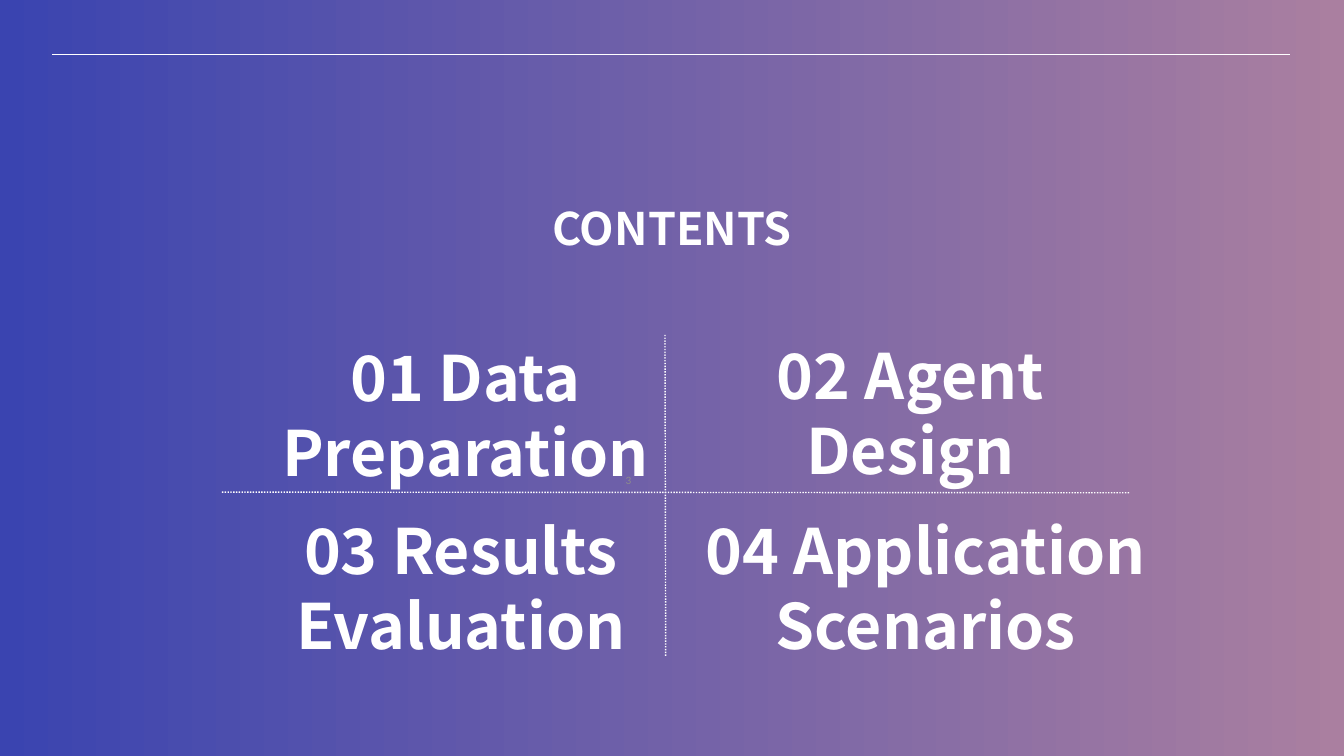
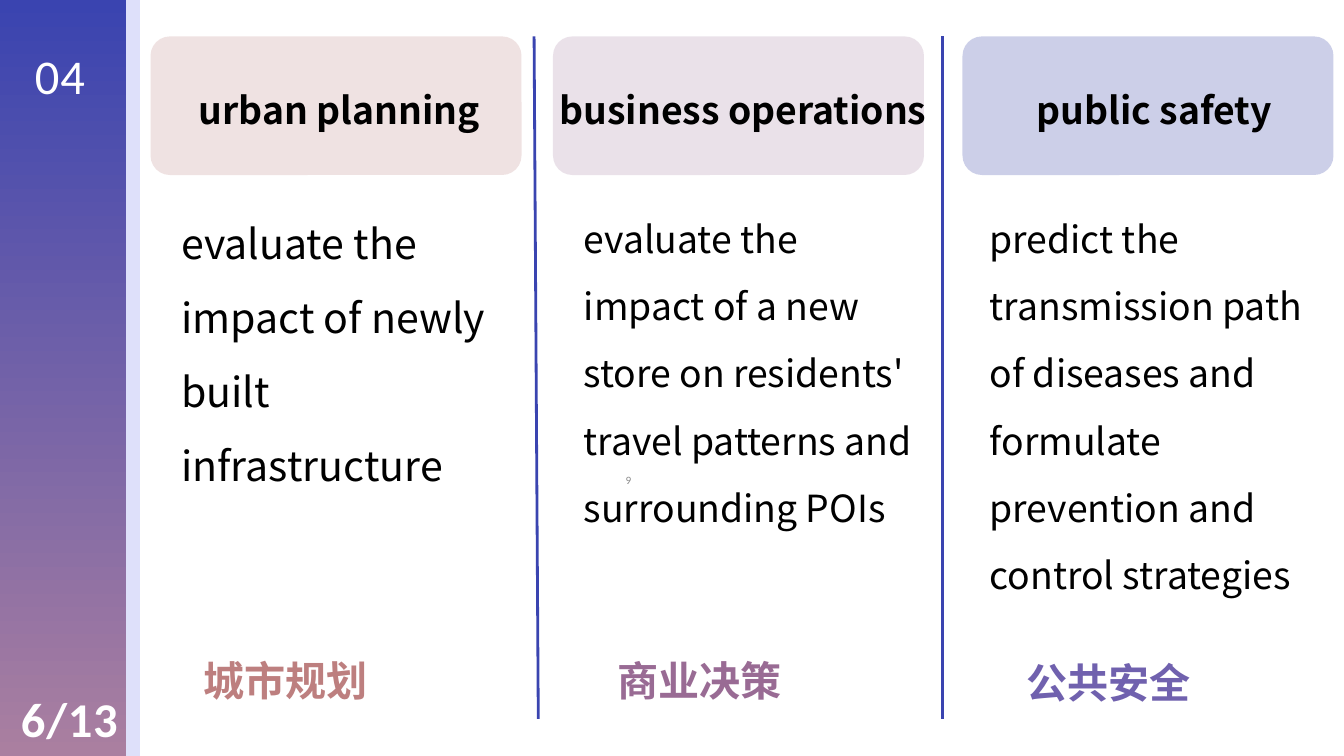
"""Build the contents slide and the application scenarios slide."""
from typing import NamedTuple

from lxml import etree
from pptx import Presentation
from pptx.dml.color import RGBColor
from pptx.enum.dml import MSO_LINE
from pptx.enum.shapes import MSO_CONNECTOR, MSO_SHAPE
from pptx.enum.text import MSO_ANCHOR, MSO_AUTO_SIZE, PP_ALIGN
from pptx.oxml.ns import qn
from pptx.util import Pt

PX = 9525
WIDTH, HEIGHT = 1920, 1080
TITLE_ONLY, BLANK = 5, 6

WHITE = RGBColor(0xFF, 0xFF, 0xFF)
BLACK = RGBColor(0x00, 0x00, 0x00)
GREY = RGBColor(0x8C, 0x8C, 0x8C)
INDIGO = RGBColor(0x3A, 0x44, 0xB0)
MAUVE = RGBColor(0xAA, 0x7F, 0xA0)
LAVENDER = RGBColor(0xDE, 0xE0, 0xFA)
ROSE_TINT = RGBColor(0xE1, 0xC6, 0xC6)
PLUM_TINT = RGBColor(0xD7, 0xC5, 0xD5)
BLUE_TINT = RGBColor(0x9B, 0xA1, 0xD2)
ROSE = RGBColor(0xBD, 0x7F, 0x7F)
PLUM = RGBColor(0x99, 0x6B, 0x94)
VIOLET = RGBColor(0x70, 0x61, 0xAE)

SANS = "Noto Sans CJK SC"
CALIBRI = "Calibri"
LEFT, CENTER, RIGHT = PP_ALIGN.LEFT, PP_ALIGN.CENTER, PP_ALIGN.RIGHT
TOP, MIDDLE = MSO_ANCHOR.TOP, MSO_ANCHOR.MIDDLE
NO_AUTOFIT = MSO_AUTO_SIZE.NONE
RECTANGLE, ROUNDED = MSO_SHAPE.RECTANGLE, MSO_SHAPE.ROUNDED_RECTANGLE
STRAIGHT = MSO_CONNECTOR.STRAIGHT
DOTTED = MSO_LINE.ROUND_DOT


class Box(NamedTuple):
    left: int
    top: int
    width: int
    height: int

    def emu(self) -> list[int]:
        return [length * PX for length in self]


class Chapter(NamedTuple):
    heading: str
    box: Box


class Scenario(NamedTuple):
    heading: str
    heading_box: Box
    card_left: int
    tint: RGBColor
    detail: str
    detail_box: Box
    detail_size: int
    chinese: str
    chinese_box: Box
    accent: RGBColor


CHAPTERS = [
    Chapter("01 Data Preparation", Box(337, 484, 656, 217)),
    Chapter("02 Agent Design", Box(992, 481, 617, 217)),
    Chapter("03 Results Evaluation", Box(334, 732, 648, 217)),
    Chapter("04 Application Scenarios", Box(998, 731, 648, 217)),
]

SCENARIOS = [
    Scenario("urban planning", Box(188, 100, 594, 93), 215, ROSE_TINT,
             "evaluate the impact of newly built infrastructure",
             Box(249, 272, 457, 688), 44,
             "城市规划", Box(280, 932, 403, 81), ROSE),
    Scenario("business operations", Box(712, 100, 699, 93), 790, PLUM_TINT,
             "evaluate the impact of a new store on residents' travel patterns "
             "and surrounding POIs",
             Box(824, 272, 496, 633), 40,
             "商业决策", Box(872, 932, 403, 81), PLUM),
    Scenario("public safety", Box(1352, 100, 594, 93), 1375, BLUE_TINT,
             "predict the transmission path of diseases and formulate "
             "prevention and control strategies",
             Box(1404, 272, 496, 633), 40,
             "公共安全", Box(1456, 934, 403, 81), VIOLET),
]


def put_text(slide, text: str, box: Box, *, size: int, color=BLACK, font=SANS,
             bold=False, align=LEFT, anchor=TOP, spacing=None, tracking=0,
             inset=True, holder=None) -> None:
    if holder is None:
        holder = slide.shapes.add_textbox(*box.emu())
    else:
        holder.left, holder.top, holder.width, holder.height = box.emu()
    frame = holder.text_frame
    frame.word_wrap = True
    frame.auto_size = NO_AUTOFIT
    frame.vertical_anchor = anchor
    frame.margin_left = frame.margin_right = 10 * PX if inset else 0
    frame.margin_top = frame.margin_bottom = 5 * PX if inset else 0
    paragraph = frame.paragraphs[0]
    paragraph.alignment = align
    if spacing is not None:
        paragraph.line_spacing = spacing
    run = paragraph.add_run()
    run.text = text
    run.font.size = Pt(size)
    run.font.bold = bold
    run.font.color.rgb = color
    run.font.name = font
    properties = run._r.get_or_add_rPr()
    etree.SubElement(properties, qn("a:ea"), typeface=font)
    if tracking:
        properties.set("spc", str(tracking))


def put_line(slide, start: tuple[int, int], end: tuple[int, int], *,
             color: RGBColor, weight: float, dash=None) -> None:
    rule = slide.shapes.add_connector(
        STRAIGHT, *(length * PX for length in start + end))
    rule.line.color.rgb = color
    rule.line.width = Pt(weight)
    if dash is not None:
        rule.line.dash_style = dash
    etree.SubElement(rule._element.spPr, qn("a:effectLst"))


def put_panel(slide, box: Box, color=None, kind=RECTANGLE):
    panel = slide.shapes.add_shape(kind, *box.emu())
    panel.shadow.inherit = False
    panel.line.fill.background()
    if color is not None:
        panel.fill.solid()
        panel.fill.fore_color.rgb = color
    return panel


def put_card(slide, box: Box, tint: RGBColor) -> None:
    card = put_panel(slide, box, tint, ROUNDED)
    card.adjustments[0] = 0.14
    shade = card._element.spPr.find(f"{qn('a:solidFill')}/{qn('a:srgbClr')}")
    etree.SubElement(shade, qn("a:alpha"), val="50000")


def apply_theme_gradient(fill, angle: int) -> None:
    fill.gradient()
    fill.gradient_angle = angle
    for stop, color in zip(fill.gradient_stops, (INDIGO, MAUVE)):
        stop.color.rgb = color


def put_slide_number(slide, number: str) -> None:
    put_text(slide, number, Box(688, 667, 224, 38), size=12, color=GREY,
             font=CALIBRI, align=RIGHT, anchor=MIDDLE)


def build_contents(deck) -> None:
    slide = deck.slides.add_slide(deck.slide_layouts[TITLE_ONLY])
    apply_theme_gradient(slide.background.fill, 0)
    put_text(slide, "CONTENTS", Box(771, 164, 378, 203), size=48, color=WHITE,
             bold=True, align=CENTER, spacing=Pt(150.2), inset=False,
             holder=slide.shapes.title)
    put_line(slide, (75, 78), (1843, 78), color=WHITE, weight=0.75)
    for chapter in CHAPTERS:
        put_text(slide, chapter.heading, chapter.box, size=67, color=WHITE,
                 bold=True, align=CENTER, spacing=Pt(80.4), inset=False)
    for start, end in (((317, 703), (1613, 704)), ((951, 937), (950, 477))):
        put_line(slide, start, end, color=WHITE, weight=1.5, dash=DOTTED)
    put_slide_number(slide, "3")


def build_scenarios(deck) -> None:
    slide = deck.slides.add_slide(deck.slide_layouts[BLANK])
    slide.background.fill.solid()
    slide.background.fill.fore_color.rgb = WHITE
    put_panel(slide, Box(165, 0, 35, HEIGHT), LAVENDER)
    sidebar = put_panel(slide, Box(0, 0, 180, HEIGHT))
    apply_theme_gradient(sidebar.fill, 270)
    put_text(slide, "04", Box(50, 66, 83, 84), size=52, color=WHITE,
             font=CALIBRI, spacing=Pt(62.4), tracking=80, inset=False)
    for top_x, bottom_x in ((763, 769), (1346, 1346)):
        put_line(slide, (top_x, 52), (bottom_x, 1027), color=INDIGO, weight=3)
    for scenario in SCENARIOS:
        put_card(slide, Box(scenario.card_left, 52, 530, 198), scenario.tint)
        put_text(slide, scenario.heading, scenario.heading_box, size=40,
                 bold=True, align=CENTER, spacing=Pt(62.4))
        put_text(slide, scenario.detail, scenario.detail_box,
                 size=scenario.detail_size, spacing=1.5)
        put_text(slide, scenario.chinese, scenario.chinese_box, size=44,
                 color=scenario.accent, bold=True)
    put_slide_number(slide, "9")
    put_text(slide, "6/13", Box(20, 979, 166, 93), size=52, color=WHITE,
             font=CALIBRI, bold=True, tracking=80)


def main() -> None:
    deck = Presentation()
    deck.slide_width, deck.slide_height = WIDTH * PX, HEIGHT * PX
    build_contents(deck)
    build_scenarios(deck)
    deck.save("out.pptx")


if __name__ == "__main__":
    main()
